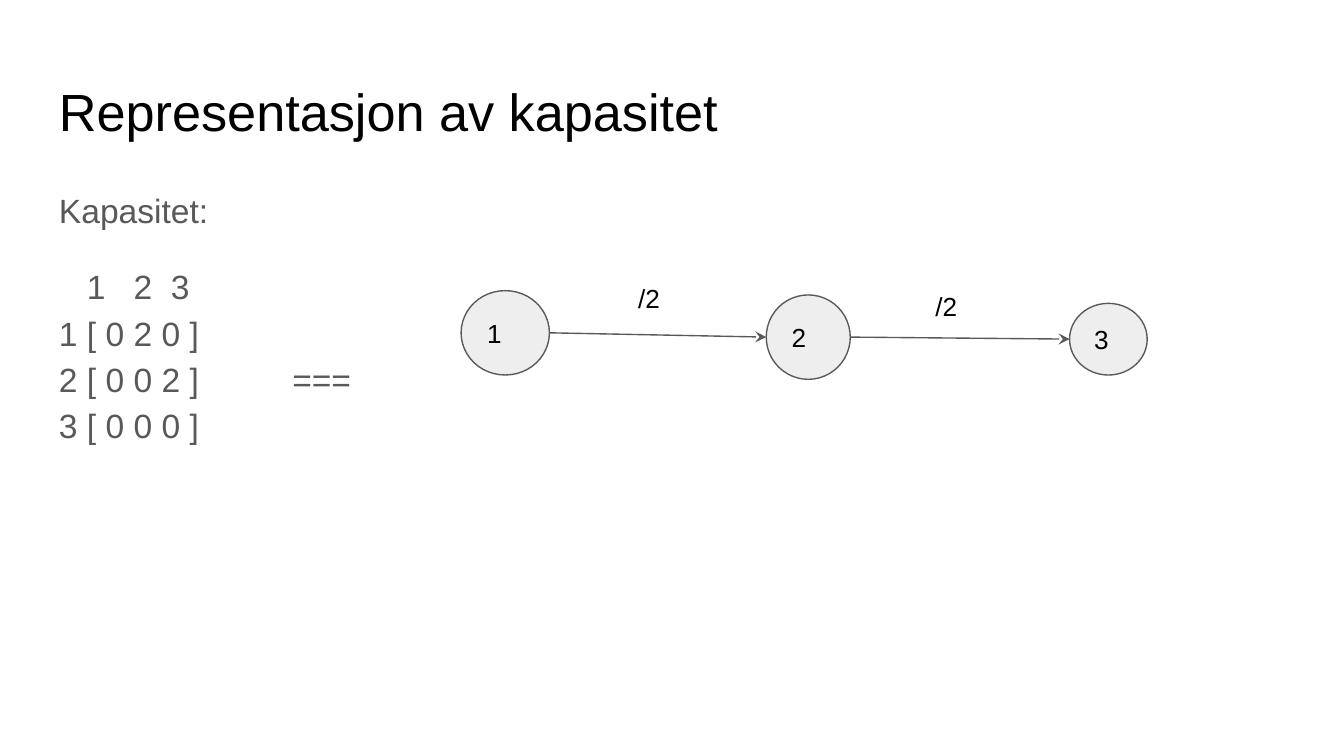
from lxml import etree
from pptx import Presentation
from pptx.enum import shapes, text
from pptx.oxml.ns import qn
from pptx.util import Pt

COLORS = {"black": "000000", "gray": "595959", "node": "EEEEEE"}
FONT = "Arial"
INSET = 7.2

TITLE = "Representasjon av kapasitet"
HEADING = "Kapasitet:"
MATRIX = [
    "\t1\t2\t3",
    "1 [ 0 2 0 ]",
    "2 [ 0 0 2 ]\t===",
    "3 [ 0 0 0 ]",
]
MATRIX_TABS = [15, 40, 60, 125]

# label, (left, top, width, height)
NODES = [
    ("1", (247, 155.7, 47.3, 45.2)),
    ("2", (410.5, 158, 45, 45.2)),
    ("3", (573, 162.5, 41.6, 38.4)),
]
# one capacity label for each pair of neighbouring nodes
CAPACITIES = [
    ("/2", (334.8, 144, 36, 24.5)),
    ("/2", (494, 148.5, 27.4, 24.5)),
]


def rgb(name):
    return shapes_color.from_string(COLORS[name])


def write(shape, lines, size, color, anchor=text.MSO_ANCHOR.TOP):
    """Fill a shape with left-aligned paragraphs and return them."""
    frame = shape.text_frame
    frame.word_wrap = True
    frame.vertical_anchor = anchor
    frame.margin_left = frame.margin_right = Pt(INSET)
    frame.margin_top = frame.margin_bottom = Pt(INSET)
    frame.text = "\n".join(lines)
    for paragraph in frame.paragraphs:
        paragraph.alignment = text.PP_ALIGN.LEFT
        paragraph.font.name = FONT
        paragraph.font.size = Pt(size)
        paragraph.font.color.rgb = rgb(color)
    return frame.paragraphs


def add_text(slide, box, lines, size, color="black"):
    return write(slide.shapes.add_textbox(*map(Pt, box)), lines, size, color)


def set_tabs(paragraph, positions):
    properties = paragraph._p.get_or_add_pPr()
    tabs = etree.Element(qn("a:tabLst"))
    for position in positions:
        etree.SubElement(tabs, qn("a:tab"), pos=str(Pt(position)), algn="l")
    properties.find(qn("a:defRPr")).addprevious(tabs)


def add_node(slide, label, box):
    node = slide.shapes.add_shape(shapes.MSO_SHAPE.OVAL, *map(Pt, box))
    node.shadow.inherit = False
    node.fill.solid()
    node.fill.fore_color.rgb = rgb("node")
    node.line.color.rgb = rgb("gray")
    node.line.width = Pt(0.75)
    write(node, [label], 14, "black", text.MSO_ANCHOR.MIDDLE)
    return node


def add_edge(slide, start, end):
    """Draw an arrow from the right side of one node to the left of the next."""
    edge = slide.shapes.add_connector(
        shapes.MSO_CONNECTOR.STRAIGHT,
        start.left + start.width, start.top + start.height // 2,
        end.left, end.top + end.height // 2)
    edge.line.color.rgb = rgb("gray")
    edge.line.width = Pt(0.75)
    etree.SubElement(edge.line._get_or_add_ln(), qn("a:tailEnd"),
                     type="stealth", w="med", len="med")
    etree.SubElement(edge._element.spPr, qn("a:effectLst"))


from pptx.dml.color import RGBColor as shapes_color

presentation = Presentation()
presentation.slide_width, presentation.slide_height = Pt(720), Pt(405)
slide = presentation.slides.add_slide(presentation.slide_layouts[6])

add_text(slide, (24.5, 35, 671, 45.1), [TITLE], 28)
heading, matrix = add_text(slide, (24.5, 91.4, 671, 269),
                           [HEADING, "\v".join(MATRIX)], 18, "gray")
heading.line_spacing = matrix.line_spacing = 1.15
matrix.space_before = Pt(16)
set_tabs(matrix, MATRIX_TABS)

nodes = [add_node(slide, label, box) for label, box in NODES]
for start, end in zip(nodes, nodes[1:]):
    add_edge(slide, start, end)
for label, box in CAPACITIES:
    add_text(slide, box, [label], 14)

presentation.save("out.pptx")
